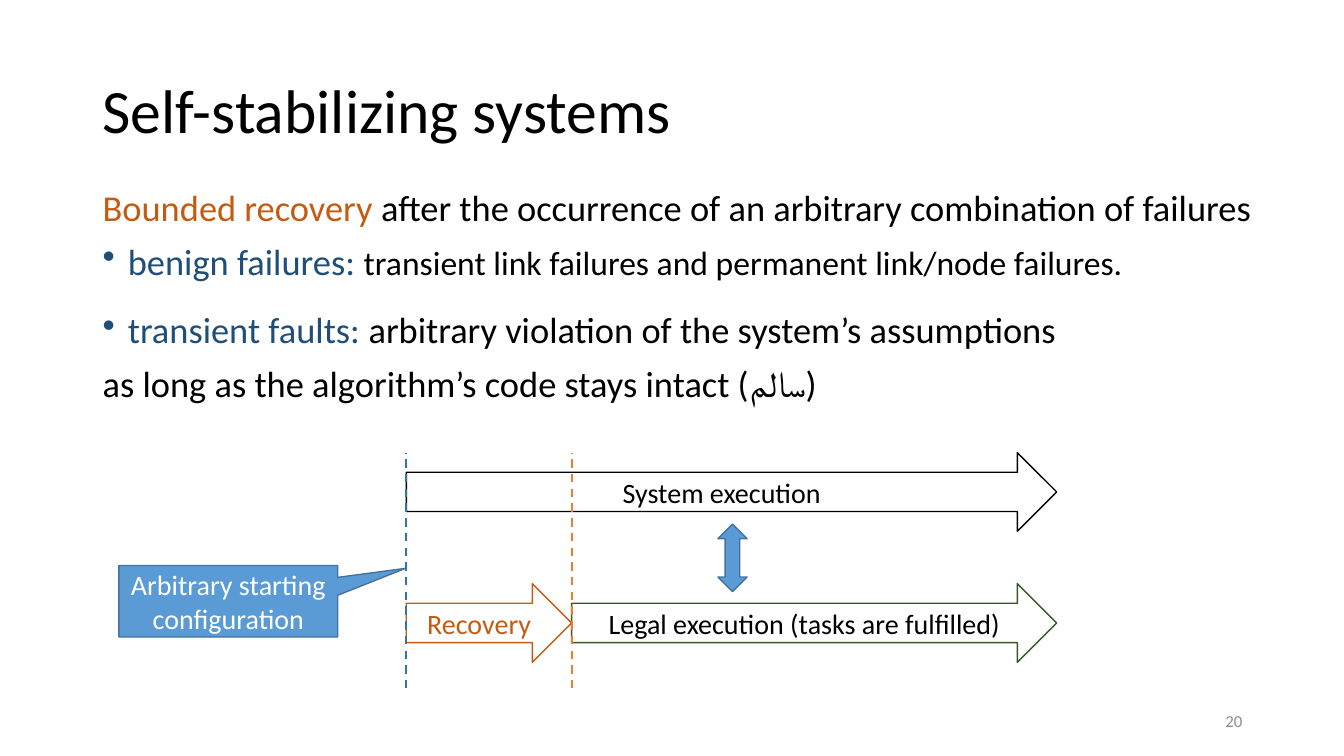
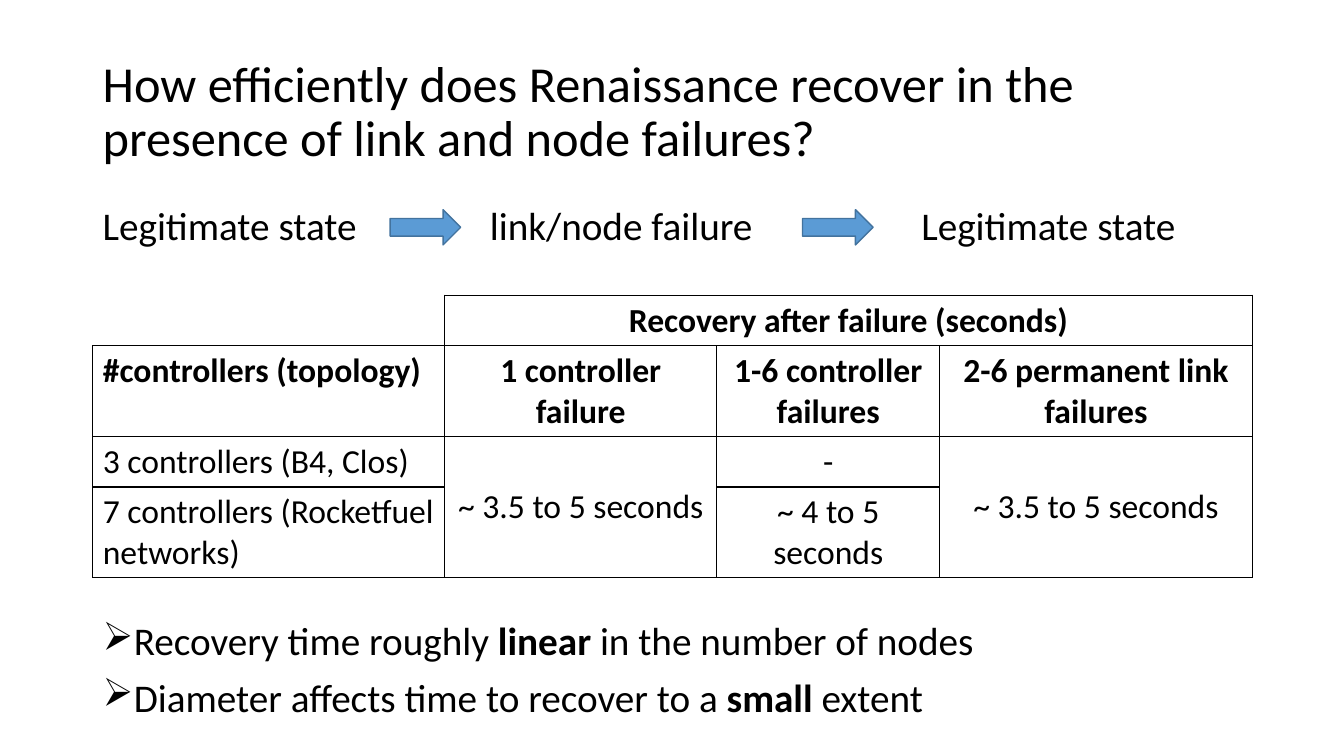
import dataclasses
import typing

import pptx
import pptx.dml.color
import pptx.enum.dml
import pptx.enum.shapes
import pptx.enum.text
import pptx.oxml
import pptx.oxml.ns
import pptx.util
from pptx.util import Inches

SHAPE = pptx.enum.shapes.MSO_SHAPE
ALIGN = pptx.enum.text.PP_ALIGN
ANCHOR = pptx.enum.text.MSO_ANCHOR


@dataclasses.dataclass(frozen=True)
class Theme:
    font: str = "Calibri"
    ink: str = "000000"
    paper: str = "FFFFFF"
    accent: str = "5B9BD5"
    accent_edge: str = "43739E"
    start_line: str = "2E75B6"
    term: str = "1F4E79"
    recovery: str = "C55A11"
    recovery_line: str = "ED7D31"
    legal: str = "385723"
    page_number: str = "8C8C8C"
    title_size: int = 44
    long_title_size: int = 36
    point_size: int = 28
    body_size: int = 26
    detail_size: int = 24
    label_size: int = 20
    number_size: int = 12
    line_spacing: float = 0.9
    para_gap: int = 10
    indent: float = 0.25


THEME = Theme()


class Box(typing.NamedTuple):
    left: float
    top: float
    width: float
    height: float

    def lengths(self):
        return [Inches(value) for value in self]

    def inner(self, dx, dy, width, height):
        """A box placed relative to this one's top left corner."""
        return Box(self.left + dx, self.top + dy, width, height)


class Span(typing.NamedTuple):
    text: str
    size: float
    color: str = THEME.ink
    bold: bool = False


TITLE_BOX = Box(0.92, 0.4, 11.5, 1.45)
NUMBER_BOX = Box(9.42, 6.95, 3, 0.4)


def rgb(value):
    return pptx.dml.color.RGBColor.from_string(value)


def xml_element(tag, content="", **attributes):
    pairs = "".join(f' {name}="{value}"' for name, value in attributes.items())
    return pptx.oxml.parse_xml(
        f'<{tag} {pptx.oxml.ns.nsdecls("a")}{pairs}>{content}</{tag}>')


def write_spans(para, spans, align=ALIGN.LEFT):
    para.alignment = align
    for span in spans:
        run = para.add_run()
        run.text = span.text
        run.font.name = THEME.font
        run.font.size = pptx.util.Pt(span.size)
        run.font.bold = span.bold
        run.font.color.rgb = rgb(span.color)


def set_body_spacing(para, gap=THEME.para_gap):
    para.line_spacing = THEME.line_spacing
    para.space_before = pptx.util.Pt(gap)


def set_bullet(para, char):
    properties = para._p.get_or_add_pPr()
    properties.set("marL", str(Inches(THEME.indent)))
    properties.set("indent", str(-Inches(THEME.indent)))
    properties.append(xml_element("a:buChar", char=char))


def set_tabs(para, stops):
    tabs = "".join(f'<a:tab pos="{Inches(stop)}" algn="l"/>' for stop in stops)
    para._p.get_or_add_pPr().append(xml_element("a:tabLst", tabs))


def add_text_frame(page, box, anchor=ANCHOR.TOP):
    frame = page.shapes.add_textbox(*box.lengths()).text_frame
    frame.word_wrap = True
    frame.vertical_anchor = anchor
    return frame


def add_paragraphs(page, box, paragraphs):
    """Body text; each paragraph is (bullet or None, gap before, spans)."""
    frame = add_text_frame(page, box)
    for index, (bullet, gap, spans) in enumerate(paragraphs):
        para = frame.add_paragraph() if index else frame.paragraphs[0]
        write_spans(para, spans)
        set_body_spacing(para, gap)
        if bullet:
            set_bullet(para, bullet)


def add_title(page, text, size):
    para = add_text_frame(page, TITLE_BOX, ANCHOR.MIDDLE).paragraphs[0]
    write_spans(para, [Span(text, size)])
    para.line_spacing = THEME.line_spacing


def add_page_number(page, number):
    para = add_text_frame(page, NUMBER_BOX, ANCHOR.MIDDLE).paragraphs[0]
    write_spans(para, [Span(number, THEME.number_size, THEME.page_number)], ALIGN.RIGHT)


def add_block(page, kind, box, fill=THEME.accent, edge=THEME.accent_edge,
              text="", color=THEME.ink):
    shape = page.shapes.add_shape(kind, *box.lengths())
    shape.shadow.inherit = False
    shape.fill.solid()
    shape.fill.fore_color.rgb = rgb(fill)
    shape.line.color.rgb = rgb(edge)
    shape.line.width = pptx.util.Pt(1)
    if text:
        frame = shape.text_frame
        frame.word_wrap = True
        frame.vertical_anchor = ANCHOR.MIDDLE
        write_spans(frame.paragraphs[0], [Span(text, THEME.label_size, color)],
                    ALIGN.CENTER)
    return shape


def add_dashed_upright(page, left, top, height, color):
    line = page.shapes.add_connector(
        pptx.enum.shapes.MSO_CONNECTOR.STRAIGHT,
        Inches(left), Inches(top + height), Inches(left), Inches(top))
    line.line.color.rgb = rgb(color)
    line.line.width = pptx.util.Pt(1.5)
    line.line.dash_style = pptx.enum.dml.MSO_LINE.DASH
    line._element.spPr.append(xml_element("a:effectLst"))


def add_execution_timeline(page, box):
    start, recovery_width, arrow_height, lower_row = 2.85, 1.64, 0.78, 1.3
    full_width = box.width - start
    recovered = start + recovery_width
    arrows = [
        (start, lower_row, recovery_width, THEME.recovery, "Recovery", THEME.recovery),
        (recovered, lower_row, full_width - recovery_width, THEME.legal,
         "Legal execution (tasks are fulfilled)", THEME.ink),
        (start, 0, full_width, THEME.ink, "System execution", THEME.ink),
    ]
    for dx, dy, width, edge, text, color in arrows:
        add_block(page, SHAPE.RIGHT_ARROW, box.inner(dx, dy, width, arrow_height),
                  THEME.paper, edge, text, color)
    add_dashed_upright(page, box.left + recovered, box.top, box.height,
                       THEME.recovery_line)
    add_block(page, SHAPE.UP_DOWN_ARROW, box.inner(5.94, 0.71, 0.29, 0.67))
    callout = add_block(page, SHAPE.RECTANGULAR_CALLOUT, box.inner(0, 1.12, 2.17, 0.71),
                        text="Arbitrary starting configuration", color=THEME.paper)
    callout.adjustments[0] = 0.81
    callout.adjustments[1] = -0.46
    add_dashed_upright(page, box.left + start, box.top, box.height, THEME.start_line)


def add_state_sequence(page, box):
    para = add_text_frame(page, box).paragraphs[0]
    states = ["Legitimate state", "link/node failure", "Legitimate state"]
    write_spans(para, [Span("\t".join(states), THEME.point_size)])
    set_body_spacing(para)
    set_tabs(para, [3.84, 8.12])
    for dx in (2.95, 7.04):
        add_block(page, SHAPE.RIGHT_ARROW, box.inner(dx, 0.08, 0.7, 0.35))


def set_cell_borders(cell, sides):
    properties = cell._tc.get_or_add_tcPr()
    color = f'<a:solidFill><a:srgbClr val="{THEME.ink}"/></a:solidFill>'
    for index, side in enumerate("LRTB"):
        border = (xml_element(f"a:ln{side}", color, w=pptx.util.Pt(1))
                  if side in sides
                  else xml_element(f"a:ln{side}", "<a:noFill/>", w=0))
        properties.insert(index, border)


def add_recovery_table(page, box):
    widths = [3.49, 2.7, 2.21, 3.1]
    heights = [0.5, 0.9, 0.5, 0.9]
    rows = [
        ["", "Recovery after failure (seconds)", "", ""],
        ["#controllers (topology)", "1 controller failure",
         "1-6 controller failures", "2-6 permanent link failures"],
        ["3 controllers (B4, Clos)", "~ 3.5 to 5 seconds", "-", "~ 3.5 to 5 seconds"],
        ["7 controllers (Rocketfuel networks)", "", "~ 4 to 5 seconds", ""],
    ]
    header_rows = 2
    merges = [((0, 1), (0, 3)), ((2, 1), (3, 1)), ((2, 3), (3, 3))]

    table = page.shapes.add_table(len(rows), len(widths), *box.lengths()).table
    table.first_row = table.horz_banding = False
    for column, width in zip(table.columns, widths):
        column.width = Inches(width)
    for row, height in zip(table.rows, heights):
        row.height = Inches(height)
    for first, last in merges:
        table.cell(*first).merge(table.cell(*last))

    for row_index, texts in enumerate(rows):
        for column_index, text in enumerate(texts):
            cell = table.cell(row_index, column_index)
            cell.fill.background()
            is_corner = row_index == column_index == 0
            set_cell_borders(cell, "RB" if is_corner else "LRTB")
            if cell.is_merge_origin and cell.span_height > 1:
                cell.vertical_anchor = ANCHOR.MIDDLE
            if text:
                span = Span(text, THEME.detail_size, bold=row_index < header_rows)
                write_spans(cell.text_frame.paragraphs[0], [span],
                            ALIGN.CENTER if column_index else ALIGN.LEFT)


def build_definition_slide(page):
    size, gap = THEME.body_size, THEME.para_gap
    add_title(page, "Self-stabilizing systems", THEME.title_size)
    add_paragraphs(page, Box(0.92, 1.84, 11.77, 4.76), [
        (None, gap, [
            Span("Bounded recovery ", size, THEME.recovery),
            Span("after the occurrence of an arbitrary combination of failures", size)]),
        ("•", gap, [
            Span("benign failures: ", size, THEME.term),
            Span("transient link failures and permanent link/node failures.",
                 THEME.detail_size)]),
        ("•", 2 * gap + 1, [
            Span("transient faults: ", size, THEME.term),
            Span("arbitrary violation of the system’s assumptions", size)]),
        (None, gap, [Span("as long as the algorithm’s code stays intact (سالم)", size)]),
    ])
    add_execution_timeline(page, Box(1.18, 4.49, 9.3, 2.34))
    add_page_number(page, "20")


def build_results_slide(page):
    add_title(page, "How efficiently does Renaissance recover in the presence of "
                    "link and node failures?", THEME.long_title_size)
    add_state_sequence(page, Box(0.92, 2, 11.5, 0.67))
    add_recovery_table(page, Box(0.92, 2.93, 11.5, 2.8))
    findings = [("Recovery time roughly ", "linear", " in the number of nodes"),
                ("Diameter affects time to recover to a ", "small", " extent")]
    add_paragraphs(page, Box(0.92, 6.12, 8.91, 1.09), [
        ("➢", THEME.para_gap, [
            Span(before, THEME.point_size),
            Span(stressed, THEME.point_size, bold=True),
            Span(after, THEME.point_size)])
        for before, stressed, after in findings])


def main():
    deck = pptx.Presentation()
    deck.slide_width, deck.slide_height = Inches(13.33), Inches(7.5)
    blank_layout = deck.slide_layouts[6]
    for build in (build_definition_slide, build_results_slide):
        build(deck.slides.add_slide(blank_layout))
    deck.save("out.pptx")


if __name__ == "__main__":
    main()
